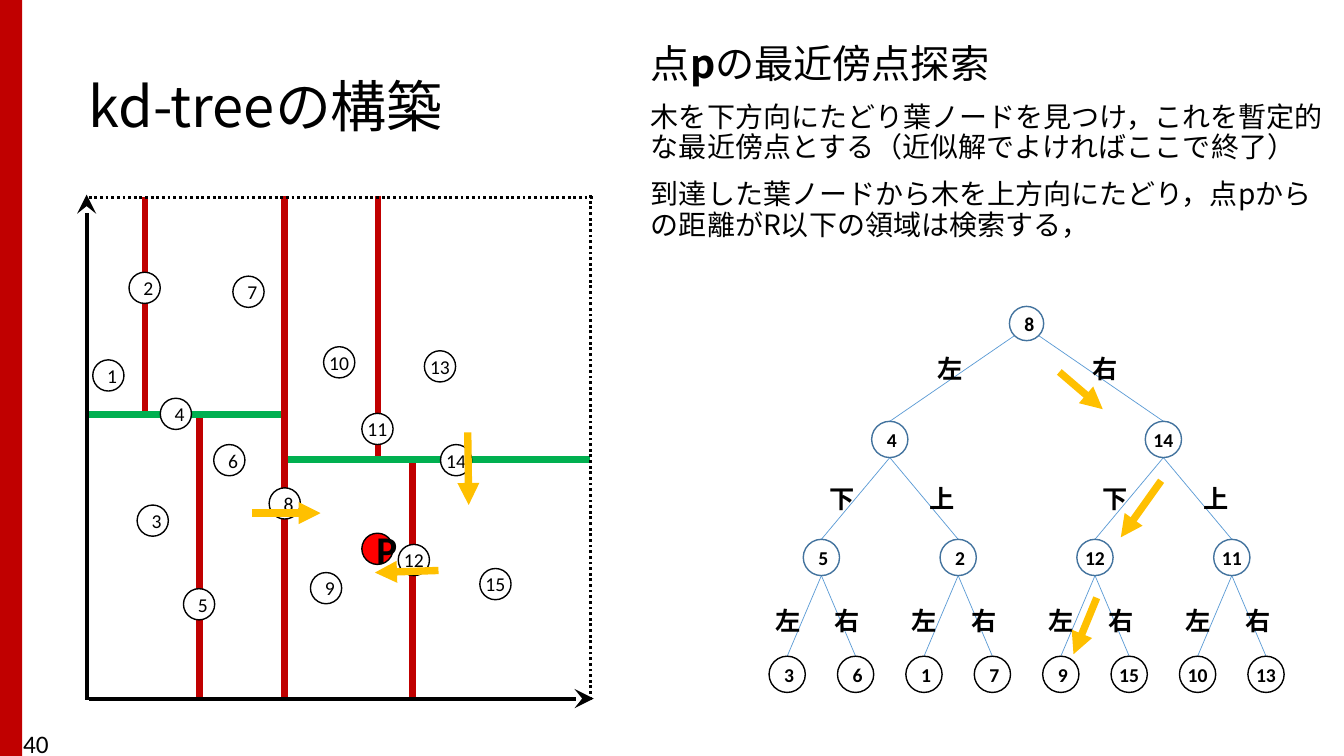
from dataclasses import dataclass

from lxml.etree import SubElement
from pptx import Presentation
from pptx.dml.color import RGBColor
from pptx.enum.dml import MSO_LINE
from pptx.enum.shapes import MSO_CONNECTOR, MSO_SHAPE
from pptx.enum.text import MSO_ANCHOR, MSO_AUTO_SIZE, PP_ALIGN
from pptx.oxml.ns import qn
from pptx.util import Pt


@dataclass(frozen=True)
class Theme:
    latin: str = "Calibri"
    japanese: str = "Noto Sans CJK JP"
    black: str = "000000"
    white: str = "FFFFFF"
    red: str = "C00000"
    green: str = "00B050"
    query: str = "FF0000"
    arrow: str = "FFC000"
    edge: str = "5B9BD5"
    node_line: str = "43739E"
    title_size: float = 40
    heading_size: float = 28
    body_size: float = 20
    label_size: float = 18
    node_size: float = 14
    line_spacing: float = 0.9


THEME = Theme()

VERTICAL_CUTS = [(270, 139.7, 328.3), (294.5, 329, 499.7), (142.6, 295.9, 498.2), (103.7, 140.4, 298.1)]
HORIZONTAL_CUTS = [(295.9, 203.8, 61.2), (328.3, 421.2, 202.3)]
ROOT_CUT = (203, 139.7, 499.7)
POINTS = {
    2: (103.3, 205.6), 1: (77.4, 268.2), 8: (203.4, 359.6), 7: (177.5, 208.4),
    4: (125.6, 295.6), 10: (242.3, 258.8), 6: (163.8, 328.7), 3: (109.1, 371.9),
    5: (142.2, 431.6), 9: (232.9, 420.1), 11: (269.6, 306.4), 13: (314.3, 261.7),
    15: (353.9, 417.2), 12: (295.6, 400), 14: (325.8, 328.7),
}
QUERY_POINT = (269.6, 392)
POINT_DIAMETER = 22.3

TREE_LEVELS = [[8], [4, 14], [5, 2, 12, 11], [3, 6, 1, 7, 9, 15, 10, 13]]
LEVEL_CENTERS = [231.1, 313.9, 398.2, 481.7]
FIRST_LEAF, LEAF_GAP = 562.3, 48.86
NODE_DIAMETER, ROOT_DIAMETER = 25.9, 24.5
ROOT_EDGE_OFFSET = 8.7
BRANCH_LABELS = [
    (249.1, (("左", -70.6), ("右", 40.3))),
    (342, (("下", -50.4), ("上", 21.6))),
    (429.1, (("左", -40.2), ("右", 2.4))),
]
SEARCH_ARROWS = [
    (756.7, 265.7, 787.7, 292.3), (180, 366.5, 229, 366.5), (334.1, 308.9, 334.8, 360.7),
    (829.4, 343.4, 800.6, 383.8), (313.2, 407.5, 267.8, 409), (783.4, 427, 766.8, 467.3),
]


def color(value):
    return RGBColor.from_string(value)


def style_run(run, size, font, bold=False):
    run.font.size = Pt(size)
    run.font.name = font
    run.font.bold = bold
    run.font.color.rgb = color(THEME.black)
    SubElement(run.font._element, qn("a:ea")).set("typeface", font)


def add_line(slide, start_x, start_y, end_x, end_y, line_color, width,
             head=None, head_size="med", dash=None):
    connector = slide.shapes.add_connector(
        MSO_CONNECTOR.STRAIGHT, Pt(start_x), Pt(start_y), Pt(end_x), Pt(end_y))
    connector.line.color.rgb = color(line_color)
    connector.line.width = Pt(width)
    if dash:
        connector.line.dash_style = dash
    properties = connector._element.spPr
    if head:
        SubElement(properties.find(qn("a:ln")), qn("a:tailEnd"), type=head, w=head_size, len=head_size)
    SubElement(properties, qn("a:effectLst"))


def add_circle(slide, center, diameter, label, fill=THEME.white, line=THEME.black,
               size=THEME.node_size, bold=False):
    left, top = (value - diameter / 2 for value in center)
    shape = slide.shapes.add_shape(MSO_SHAPE.OVAL, Pt(left), Pt(top), Pt(diameter), Pt(diameter))
    shape.shadow.inherit = False
    shape.fill.solid()
    shape.fill.fore_color.rgb = color(fill)
    shape.line.color.rgb = color(line)
    shape.line.width = Pt(1)
    frame = shape.text_frame
    frame.text = str(label)
    frame.vertical_anchor = MSO_ANCHOR.MIDDLE
    if len(frame.text) > 1:
        frame.margin_left = frame.margin_right = frame.margin_top = frame.margin_bottom = 0
    paragraph = frame.paragraphs[0]
    paragraph.alignment = PP_ALIGN.CENTER
    style_run(paragraph.runs[0], size, THEME.latin, bold)


def add_text(slide, box, text, size, font=THEME.japanese, bold=False, wrap=True):
    shape = slide.shapes.add_textbox(*(Pt(value) for value in box))
    frame = shape.text_frame
    frame.text = text
    frame.word_wrap = wrap
    if not wrap:
        frame.auto_size = MSO_AUTO_SIZE.SHAPE_TO_FIT_TEXT
    style_run(frame.paragraphs[0].runs[0], size, font, bold)
    return frame


def add_explanation(slide):
    frame = add_text(slide, (457.9, 28.1, 501.8, 159.1), "点", THEME.heading_size)
    heading = frame.paragraphs[0]
    for text, bold in (("p", True), ("の最近傍点探索", False)):
        run = heading.add_run()
        run.text = text
        style_run(run, THEME.heading_size, THEME.japanese, bold)
    for text in (
        "木を下方向にたどり葉ノードを見つけ，これを暫定的な最近傍点とする（近似解でよければここで終了）",
        "到達した葉ノードから木を上方向にたどり，点pからの距離がR以下の領域は検索する，",
    ):
        paragraph = frame.add_paragraph()
        paragraph.text = text
        paragraph.space_before = Pt(6)
        style_run(paragraph.runs[0], THEME.body_size, THEME.japanese)
    for paragraph in frame.paragraphs:
        paragraph.line_spacing = THEME.line_spacing
        paragraph.space_after = Pt(6)


def add_plane(slide):
    for axis in ((63.4, 499, 424.1, 499), (61.9, 499.7, 61.9, 139)):
        add_line(slide, *axis, THEME.black, 2.75, head="stealth", head_size="lg")
    for label, center in POINTS.items():
        add_circle(slide, center, POINT_DIAMETER, label)
    for border in ((421.9, 499.7, 421.9, 139), (63.4, 141.1, 424.1, 141.1)):
        add_line(slide, *border, THEME.black, 2, dash=MSO_LINE.ROUND_DOT)


def add_cuts(slide):
    for x, top, bottom in VERTICAL_CUTS:
        add_line(slide, x, top, x, bottom, THEME.red, 4.75)
    for y, start, end in HORIZONTAL_CUTS:
        add_line(slide, start, y, end, y, THEME.green, 4.75)
    x, top, bottom = ROOT_CUT
    add_line(slide, x, top, x, bottom, THEME.red, 4.75)


def level_positions(level):
    span = 2 ** (len(TREE_LEVELS) - 1 - level)
    return [FIRST_LEAF + LEAF_GAP * (span * index + (span - 1) / 2)
            for index in range(len(TREE_LEVELS[level]))]


def add_branches(slide, level):
    children = level_positions(level + 1)
    label_top, labels = BRANCH_LABELS[level]
    radius = NODE_DIAMETER / 2
    offset, drop = (ROOT_EDGE_OFFSET, ROOT_EDGE_OFFSET) if level == 0 else (0, radius)
    for index, x in enumerate(level_positions(level)):
        for side, (label, shift) in enumerate(labels):
            start = x + (2 * side - 1) * offset
            add_line(slide, start, LEVEL_CENTERS[level] + drop, children[2 * index + side],
                     LEVEL_CENTERS[level + 1] - radius, THEME.edge, 0.5)
            add_text(slide, (x + shift, label_top, 33.1, 28.8), label,
                     THEME.label_size, bold=True, wrap=False)


def add_tree(slide):
    for level in range(len(BRANCH_LABELS)):
        add_branches(slide, level)
    for level, labels in enumerate(TREE_LEVELS):
        diameter = NODE_DIAMETER if level else ROOT_DIAMETER
        line = THEME.black if level == len(TREE_LEVELS) - 1 else THEME.node_line
        for label, x in zip(labels, level_positions(level)):
            add_circle(slide, (x, LEVEL_CENTERS[level]), diameter, label, line=line, bold=True)


def main():
    presentation = Presentation()
    presentation.slide_width, presentation.slide_height = Pt(960), Pt(540)
    slide = presentation.slides.add_slide(presentation.slide_layouts[6])
    band = slide.shapes.add_shape(MSO_SHAPE.RECTANGLE, 0, 0, Pt(15.8), Pt(540))
    band.shadow.inherit = False
    band.fill.solid()
    band.fill.fore_color.rgb = color(THEME.red)
    band.line.fill.background()
    add_cuts(slide)
    title = add_text(slide, (56.2, 49.7, 318.2, 57.6), "kd-treeの構築", THEME.title_size)
    title.vertical_anchor = MSO_ANCHOR.MIDDLE
    title.paragraphs[0].line_spacing = THEME.line_spacing
    add_explanation(slide)
    add_plane(slide)
    add_tree(slide)
    add_circle(slide, QUERY_POINT, POINT_DIAMETER, "P", fill=THEME.query,
               size=THEME.heading_size, bold=True)
    for arrow in SEARCH_ARROWS:
        add_line(slide, *arrow, THEME.arrow, 5.25, head="triangle")
    add_text(slide, (9.4, 517, 216, 28.8), "40", THEME.label_size, THEME.latin)
    presentation.save("out.pptx")


if __name__ == "__main__":
    main()
